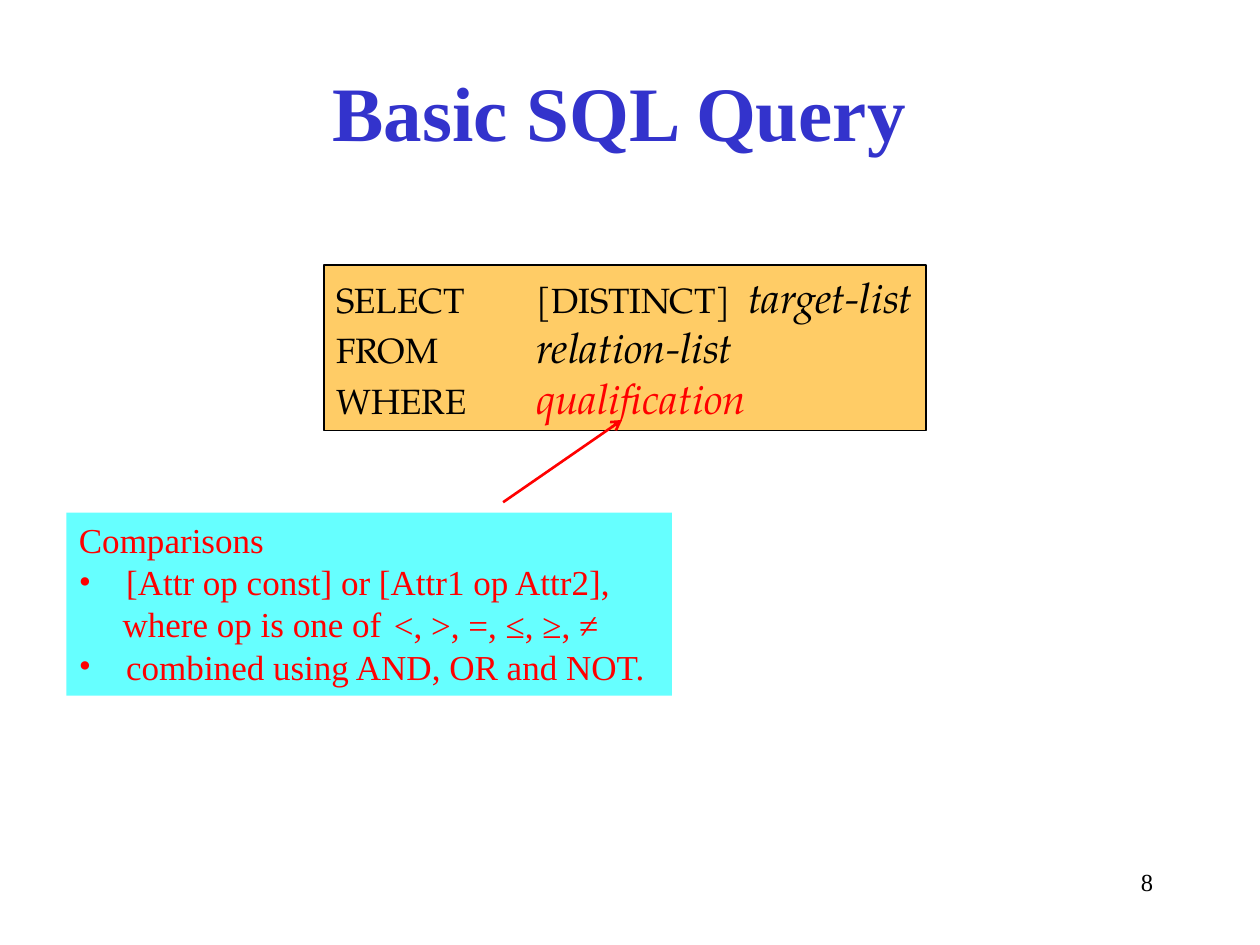
from lxml import etree
from pptx import Presentation
from pptx.dml.color import RGBColor
from pptx.enum.shapes import MSO_CONNECTOR, MSO_SHAPE
from pptx.enum.text import MSO_ANCHOR, PP_ALIGN
from pptx.oxml.ns import qn
from pptx.util import Pt

RECTANGLE = MSO_SHAPE.RECTANGLE
STRAIGHT = MSO_CONNECTOR.STRAIGHT
TOP, MIDDLE = MSO_ANCHOR.TOP, MSO_ANCHOR.MIDDLE
LEFT, CENTER, RIGHT = PP_ALIGN.LEFT, PP_ALIGN.CENTER, PP_ALIGN.RIGHT

SERIF, QUERY_FONT = "Times New Roman", "TeX Gyre Pagella"
COLORS = {"title": "3333CC", "black": "000000", "red": "FF0000",
          "query": "FFCC66", "note": "66FFFF"}


def style(font, name, size, color, bold=False, italic=False):
    font.name, font.size = name, Pt(size)
    font.bold, font.italic = bold, italic
    font.color.rgb = RGBColor.from_string(COLORS[color])


def add_panel(page, left, top, width, height, fill):
    panel = page.shapes.add_shape(RECTANGLE, Pt(left), Pt(top), Pt(width), Pt(height))
    panel.shadow.inherit = False
    panel.fill.solid()
    panel.fill.fore_color.rgb = RGBColor.from_string(COLORS[fill])
    panel.line.fill.background()
    panel.text_frame.vertical_anchor = TOP
    return panel


deck = Presentation()
deck.slide_width, deck.slide_height = Pt(720), Pt(540)
page = deck.slides.add_slide(deck.slide_layouts[5])

# Title
title = page.shapes.title
title.left, title.top, title.width, title.height = Pt(48), Pt(18), Pt(612), Pt(90)
title.text_frame.text = "Basic SQL Query"
title.text_frame.vertical_anchor = MIDDLE
para = title.text_frame.paragraphs[0]
para.alignment = CENTER
style(para.runs[0].font, SERIF, 44, "title", bold=True)

# Query template, with tab stops for its columns
query = add_panel(page, 185, 151.5, 344, 94.5, "query")
query.line.color.rgb = RGBColor.from_string(COLORS["black"])
query.line.width = Pt(1)
clauses = [
    [("SELECT\t[DISTINCT]\t", 20, "black", False), ("target-list", 24, "black", True)],
    [("FROM\t", 20, "black", False), ("relation-list", 24, "black", True)],
    [("WHERE\t", 20, "black", False), ("qualification", 24, "red", True)],
]
for index, clause in enumerate(clauses):
    frame = query.text_frame
    para = frame.paragraphs[0] if index == 0 else frame.add_paragraph()
    para.alignment = LEFT
    tabs = etree.SubElement(para._p.get_or_add_pPr(), qn("a:tabLst"))
    for stop in (114.5, 235.5):
        etree.SubElement(tabs, qn("a:tab"), pos=str(Pt(stop)), algn="l")
    for text, size, color, italic in clause:
        span = para.add_run()
        span.text = text
        style(span.font, QUERY_FONT, size, color, italic=italic)

# Note on comparisons: text, left margin, bulleted
note = add_panel(page, 38, 293, 346, 104.5, "note")
note.text_frame.word_wrap = False
note_lines = [
    ("Comparisons", 0, False),
    ("[Attr op const] or [Attr1 op Attr2],", 27, True),
    ("where op is one of", 25, False),
    ("combined using AND, OR and NOT.", 27, True),
]
for index, (text, margin, bulleted) in enumerate(note_lines):
    frame = note.text_frame
    para = frame.paragraphs[0] if index == 0 else frame.add_paragraph()
    para.text = text
    para.alignment = LEFT
    settings = para._p.get_or_add_pPr()
    settings.set("marL", str(Pt(margin)))
    settings.set("indent", str(Pt(-margin if bulleted else 0)))
    if bulleted:
        etree.SubElement(settings, qn("a:buFont"), typeface=SERIF)
        etree.SubElement(settings, qn("a:buChar"), char="•")
    style(para.runs[0].font, SERIF, 20, "red")

# Operators and page number
labels = [
    ("<, >, =, ≤, ≥, ≠", 218, 341.5, 137.5, 31.5, 20, "red", LEFT, False),
    ("8", 516, 492, 150, 36, 14, "black", RIGHT, True),
]
for text, left, top, width, height, size, color, alignment, wrap in labels:
    box = page.shapes.add_textbox(Pt(left), Pt(top), Pt(width), Pt(height))
    box.text_frame.word_wrap = wrap
    box.text_frame.text = text
    para = box.text_frame.paragraphs[0]
    para.alignment = alignment
    style(para.runs[0].font, SERIF, size, color)

# Arrow from the note to the qualification
arrow = page.shapes.add_connector(STRAIGHT, Pt(287.5), Pt(287), Pt(355.5), Pt(240))
arrow.line.color.rgb = RGBColor.from_string(COLORS["red"])
arrow.line.width = Pt(1.5)
etree.SubElement(arrow.line._get_or_add_ln(), qn("a:tailEnd"), type="arrow")
etree.SubElement(arrow._element.spPr, qn("a:effectLst"))

deck.save("out.pptx")
